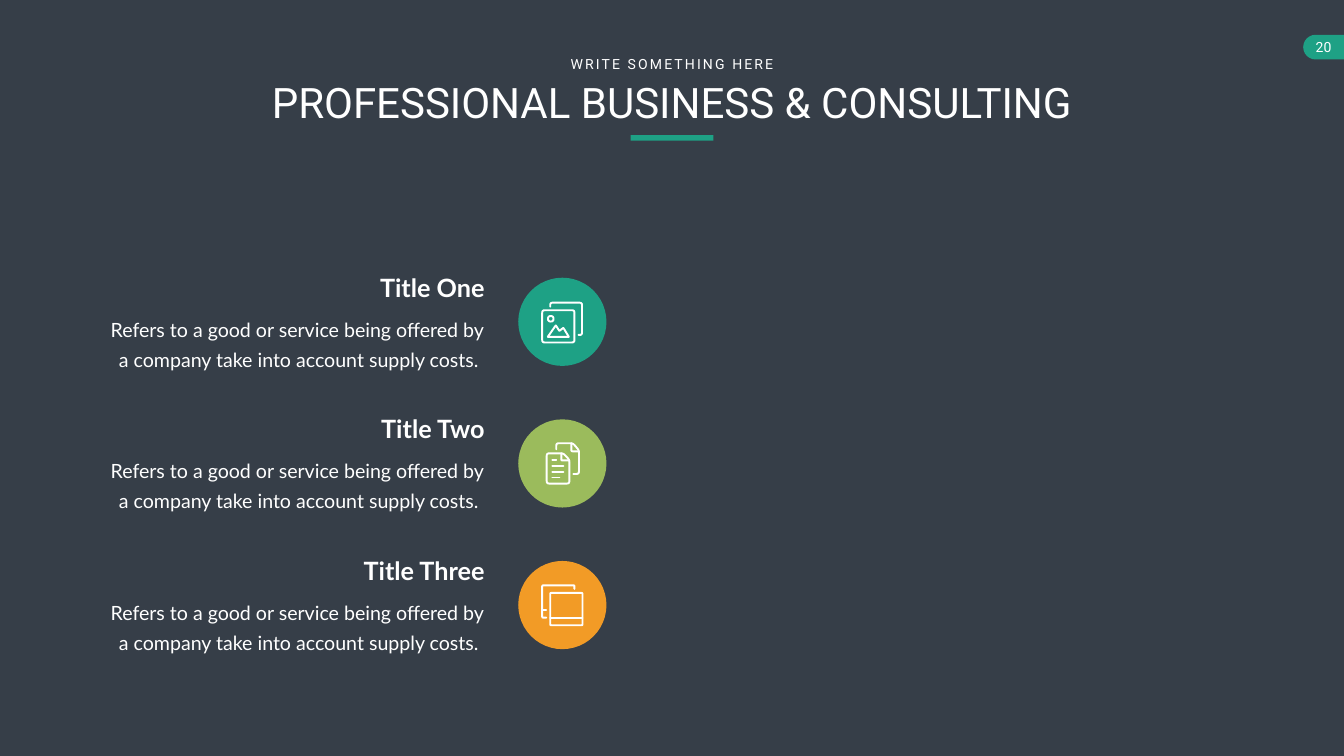
from pptx import Presentation
from pptx.dml.color import RGBColor
from pptx.enum.shapes import MSO_SHAPE as Kind
from pptx.enum.text import PP_ALIGN as Align
from pptx.oxml.ns import qn
from pptx.util import Inches, Pt

# Content
KICKER = "WRITE SOMETHING HERE"
TITLE = "PROFESSIONAL BUSINESS & CONSULTING"
PAGE = "20"
BODY = ("Refers to a good or service being offered by "
        "a company take into account supply costs. ")
DARK, WHITE, GREEN, LIME, GOLD = "363E48", "FFFFFF", "1EA185", "9BBB5C", "F29B26"

# Icon strokes: corner radius, closed, points in 1/100 inch from the disc centre
PHOTOS = [
    (5, False, [(-24, -30), (-24, -38), (39, -38), (39, 26), (32, 26)]),
    (5, True, [(-40, -23), (24, -23), (24, 41), (-40, 41)]),
    (5.5, True, [(-28.5, -11.5), (-17.5, -11.5), (-17.5, -0.5), (-28.5, -0.5)]),
    (1, True, [(-29, 30), (-13, 7), (-6, 18), (2, 12), (13, 30)]),
]
PAGES = [
    (5, False, [(-12, -28), (-12, -40), (21, -40), (33, -26), (33, 21), (22, 21)]),
    (2, False, [(18, -40), (18, -24), (33, -24)]),
    (5, True, [(-31, -20), (2, -20), (14, -7), (14, 40), (-31, 40)]),
    (2, False, [(-2, -20), (-2, -6), (14, -6)]),
] + [(0, False, [(-20, y), (x, y)])
     for x, y in [(-12, -6), (2, 6), (2, 17), (-6, 28)]]
FRAMES = [
    (2, False, [(-32, 25), (-40, 25), (-40, -39), (24, -39), (24, -32)]),
    (0, False, [(-40, 10), (-32, 10)]),
    (2, True, [(-24, -24), (40, -24), (40, 40), (-24, 40)]),
    (0, False, [(-24, 25), (40, 25)]),
]
ITEMS = [("Title One", GREEN, PHOTOS),
         ("Title Two", LIME, PAGES),
         ("Title Three", GOLD, FRAMES)]

# Grid
W, H = 26.66, 15
MID = W / 2
TOP, PITCH = 5.51, 2.81
DISC, DISC_X = 1.75, 10.28

deck = Presentation()
deck.slide_width, deck.slide_height = Inches(W), Inches(H)
slide = deck.slides.add_slide(deck.slide_layouts[6])
shapes = slide.shapes


def paint(fill, color):
    fill.solid()
    fill.fore_color.rgb = RGBColor.from_string(color)


def block(kind, x, y, w, h, color):
    shape = shapes.add_shape(kind, *map(Inches, (x, y, w, h)))
    shape.shadow.inherit = False
    paint(shape.fill, color)
    shape.line.fill.background()
    return shape


def label(text, x, y, w, h, size, font="Roboto", align=Align.CENTER,
          bold=False, wrap=True, pad=0.1, lead=None, track=0):
    frame = shapes.add_textbox(*map(Inches, (x, y, w, h))).text_frame
    frame.word_wrap = wrap
    frame.margin_left = frame.margin_right = Inches(pad)
    frame.margin_top = frame.margin_bottom = Inches(pad / 2)
    frame.text = text
    para = frame.paragraphs[0]
    para.alignment = align
    if lead:
        para.line_spacing = Pt(lead)
    run = para.runs[0]
    run.font.name, run.font.size, run.font.bold = font, Pt(size), bold
    paint(run.font.fill, WHITE)
    if track:
        run.font._element.set("spc", str(track * 100))


def soften(points, radius, closed):
    """Replace each corner by a short curve."""
    result = []
    for i, (x, y) in enumerate(points):
        if not radius or not closed and i in (0, len(points) - 1):
            result.append((x, y))
            continue
        ends = []
        for px, py in (points[i - 1], points[(i + 1) % len(points)]):
            size = ((px - x) ** 2 + (py - y) ** 2) ** 0.5
            part = min(radius / size, 0.5)
            ends.append((x + (px - x) * part, y + (py - y) * part))
        (ax, ay), (bx, by) = ends
        for t in (0, 0.25, 0.5, 0.75, 1):
            a, c, b = (1 - t) ** 2, 2 * t * (1 - t), t * t
            result.append((a * ax + c * x + b * bx, a * ay + c * y + b * by))
    return result


def icon(strokes, cx, cy):
    pen = None
    for radius, closed, points in strokes:
        first, *rest = [(Inches(cx + x / 100), Inches(cy + y / 100))
                        for x, y in soften(points, radius, closed)]
        if pen is None:
            pen = shapes.build_freeform(*first)
        else:
            pen.move_to(*first)
        pen.add_line_segments(rest, close=closed)
    shape = pen.convert_to_shape()
    shape.shadow.inherit = False
    shape.fill.background()
    paint(shape.line.fill, WHITE)
    shape.line.width = Pt(2.75)
    shape._element.spPr.find(qn("a:ln")).set("cap", "rnd")


paint(slide.background.fill, DARK)

# Page badge
block(Kind.FLOWCHART_DELAY, W - 0.81, 0.69, 0.49, 0.49, GREEN).rotation = 180
block(Kind.RECTANGLE, W - 0.32, 0.69, 0.32, 0.49, GREEN)
label(PAGE, W - 0.81, 0.72, 0.81, 0.44, 20, wrap=False)

# Heading
label(TITLE, MID - 9.11, 1.47, 18.22, 1.11, 60)
label(KICKER, MID - 2.18, 1.05, 4.36, 0.44, 20, wrap=False, track=3)
block(Kind.RECTANGLE, MID - 0.82, 2.68, 1.64, 0.11, GREEN)

# Rows
for row, (name, color, strokes) in enumerate(ITEMS):
    y = TOP + row * PITCH
    label(name, 5.74, y - 0.16, 3.97, 0.71, 36, "Lato", Align.RIGHT, bold=True)
    label(BODY, 1.92, y + 0.54, 7.91, 1.38, 28, "Lato", Align.RIGHT,
          pad=0.24, lead=43)
    block(Kind.OVAL, DISC_X, y, DISC, DISC, color)
    icon(strokes, DISC_X + DISC / 2, y + DISC / 2)

deck.save("out.pptx")
